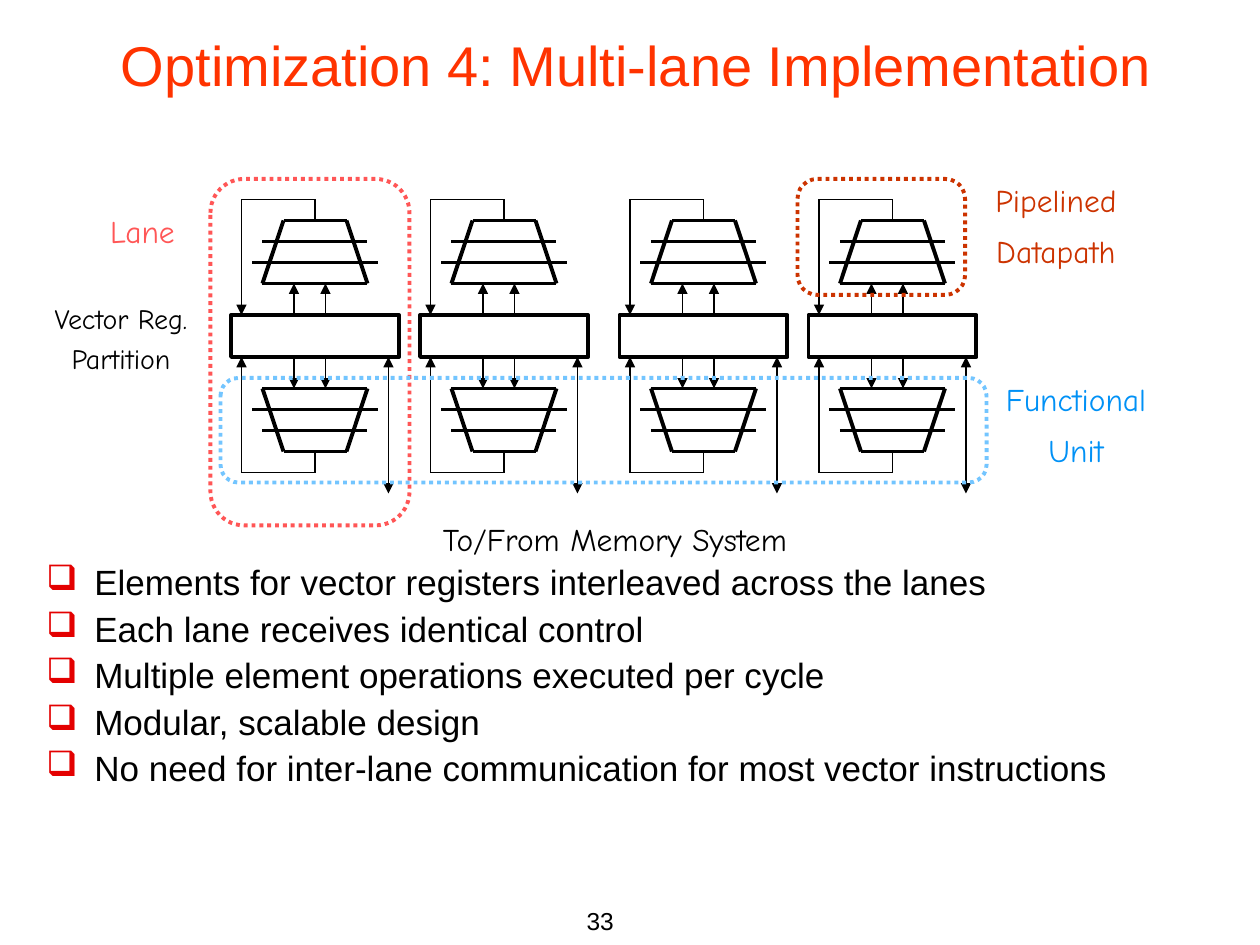
"""Build the slide on the multi-lane vector implementation."""
from lxml.etree import SubElement
from pptx import Presentation
from pptx.dml.color import RGBColor
from pptx.enum.dml import MSO_LINE
from pptx.enum.shapes import MSO_CONNECTOR, MSO_SHAPE
from pptx.enum.text import MSO_ANCHOR, PP_ALIGN
from pptx.oxml.ns import qn
from pptx.util import Inches, Pt

BLACK = RGBColor(0, 0, 0)
WHITE = RGBColor(255, 255, 255)
TITLE_RED = RGBColor(0xFF, 0x33, 0x00)
LANE_RED = RGBColor(0xFF, 0x56, 0x56)
RUST = RGBColor(0xCC, 0x33, 0x00)
SKY = RGBColor(0x73, 0xC5, 0xFF)
BLUE = RGBColor(0x00, 0x91, 0xF6)
BULLET_RED = "E40000"

UNIT = Inches(1) / 12
THIN, THICK = 0.75, 2.25
MIRROR = 64


def add_line(shapes, x1, y1, x2, y2, width, ends=()):
    ln = shapes.add_connector(MSO_CONNECTOR.STRAIGHT, *(round(v * UNIT) for v in (x1, y1, x2, y2)))
    ln.line.color.rgb = BLACK
    ln.line.width = Pt(width)
    SubElement(ln._element.spPr, qn("a:effectLst"))
    for end in ends:
        SubElement(ln.line._get_or_add_ln(), qn(f"a:{end}"), type="triangle")


def add_text(box, lines, size, color, font="Comic Neue", align=PP_ALIGN.CENTER,
             spacing=1.0, before=0, bullet=None):
    tb = s.shapes.add_textbox(*(Inches(v) for v in box))
    tf = tb.text_frame
    tf.word_wrap = True
    for i, line in enumerate(lines):
        p = tf.paragraphs[0] if i == 0 else tf.add_paragraph()
        if bullet:
            pPr = p._p.get_or_add_pPr()
            pPr.set("marL", str(Inches(0.38)))
            pPr.set("indent", str(-Inches(0.38)))
            SubElement(SubElement(pPr, qn("a:buClr")), qn("a:srgbClr"), val=BULLET_RED)
            SubElement(pPr, qn("a:buChar"), char=bullet)
        for name, value in {"alignment": align, "line_spacing": spacing,
                            "space_before": Pt(before if i else 0)}.items():
            setattr(p, name, value)
        r = p.add_run()
        r.text = line
        for name, value in {"name": font, "size": Pt(size)}.items():
            setattr(r.font, name, value)
        r.font.color.rgb = color
    return tb


prs = Presentation()
prs.slide_width, prs.slide_height = Inches(10), Inches(7.5)
s = prs.slides.add_slide(prs.slide_layouts[6])

add_text((2.89, 7.14, 2.08, 0.5), ["33"], 14, BLACK, "Arial", PP_ALIGN.RIGHT)

title = add_text((0, 0, 10.23, 1.02), ["Optimization 4: Multi-lane Implementation"],
                 32, TITLE_RED, "Arial", PP_ALIGN.LEFT)
title.fill.solid()
title.fill.fore_color.rgb = WHITE
title.text_frame.margin_left = Inches(0.96)
title.text_frame.vertical_anchor = MSO_ANCHOR.MIDDLE

add_text((0.27, 4.44, 9.45, 2.04), [
    "Elements for vector registers interleaved across the lanes",
    "Each lane receives identical control",
    "Multiple element operations executed per cycle",
    "Modular, scalable design",
    "No need for inter-lane communication for most vector instructions",
], 20, BLACK, "Arial", PP_ALIGN.LEFT, 0.9, 5, "❑")

TAIL = ("tailEnd",)
DATAPATH = [
    (5, 21, 11, 21, THICK, ()),
    (5, 21, 3, 27, THICK, ()),
    (11, 21, 13, 27, THICK, ()),
    (3, 27, 13, 27, THICK, ()),
    (6, 30, 6, 27, THIN, TAIL),
    (9, 30, 9, 27, THIN, TAIL),
    (8, 21, 8, 19, THIN, ()),
    (8, 19, 1, 19, THIN, ()),
    (1, 19, 1, 30, THIN, TAIL),
    (2, 25, 14, 25, THICK, ()),
    (3, 23, 13, 23, THICK, ()),
]

for left in (40, 22, 77, 59):
    shapes = s.shapes.add_group_shape().shapes
    sp = shapes.add_shape(MSO_SHAPE.RECTANGLE, *(round(v * UNIT) for v in (left, 30, 16, 4)))
    sp.shadow.inherit = False
    sp.fill.background()
    sp.line.color.rgb = BLACK
    sp.line.width = Pt(THICK)
    for x1, y1, x2, y2, width, ends in DATAPATH:
        add_line(shapes, left + x1, y1, left + x2, y2, width, ends)
    for x1, y1, x2, y2, width, ends in DATAPATH:
        add_line(shapes, left + x1, MIRROR - y1, left + x2, MIRROR - y2, width, ends)
    add_line(shapes, left + 15, 34, left + 15, 47, THIN, ("headEnd", "tailEnd"))

for box, color in [
    ((6.33, 1.42, 1.33, 0.92), RUST),
    ((1.67, 1.42, 1.58, 2.75), LANE_RED),
    ((1.75, 3, 6.08, 0.83), SKY),
]:
    sp = s.shapes.add_shape(MSO_SHAPE.ROUNDED_RECTANGLE, *(Inches(v) for v in box))
    sp.adjustments[0] = 0.17
    sp.shadow.inherit = False
    sp.fill.background()
    for name, value in {"width": Pt(THICK), "dash_style": MSO_LINE.ROUND_DOT}.items():
        setattr(sp.line, name, value)
    sp.line.color.rgb = color

for box, lines, size, color, spacing, before in [
    ((1.67, 4.08, 6.42, 0.4), ["To/From Memory System"], 18, BLACK, 1.0, 0),
    ((7.42, 1.42, 1.92, 0.79), ["Pipelined", "Datapath"], 18, RUST, 0.9, 10),
    ((7.58, 3, 1.92, 0.79), ["Functional", "Unit"], 18, BLUE, 0.9, 10),
    ((0.42, 1.67, 1.42, 0.37), ["Lane"], 18, LANE_RED, 0.9, 0),
    ((0, 2.42, 1.92, 0.61), ["Vector Reg.", "Partition"], 16, BLACK, 0.7, 9),
]:
    add_text(box, lines, size, color, spacing=spacing, before=before)

prs.save("out.pptx")
